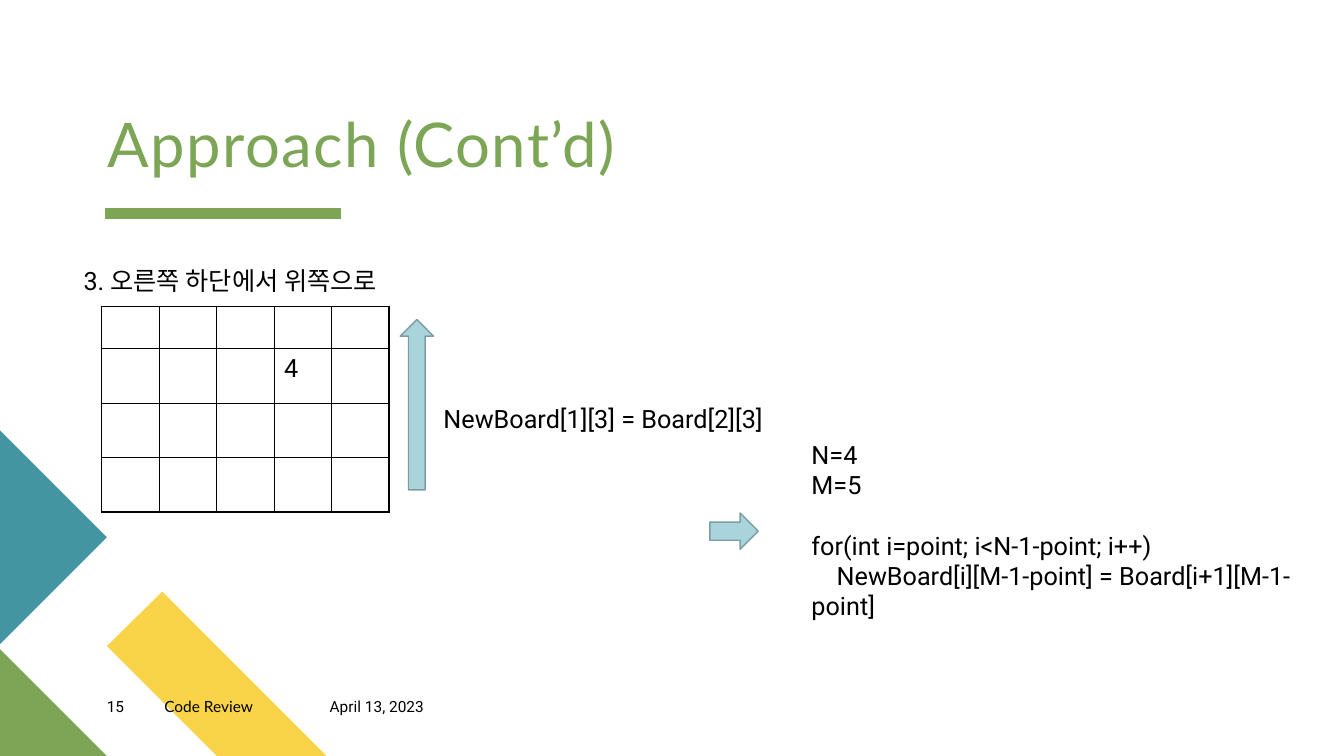
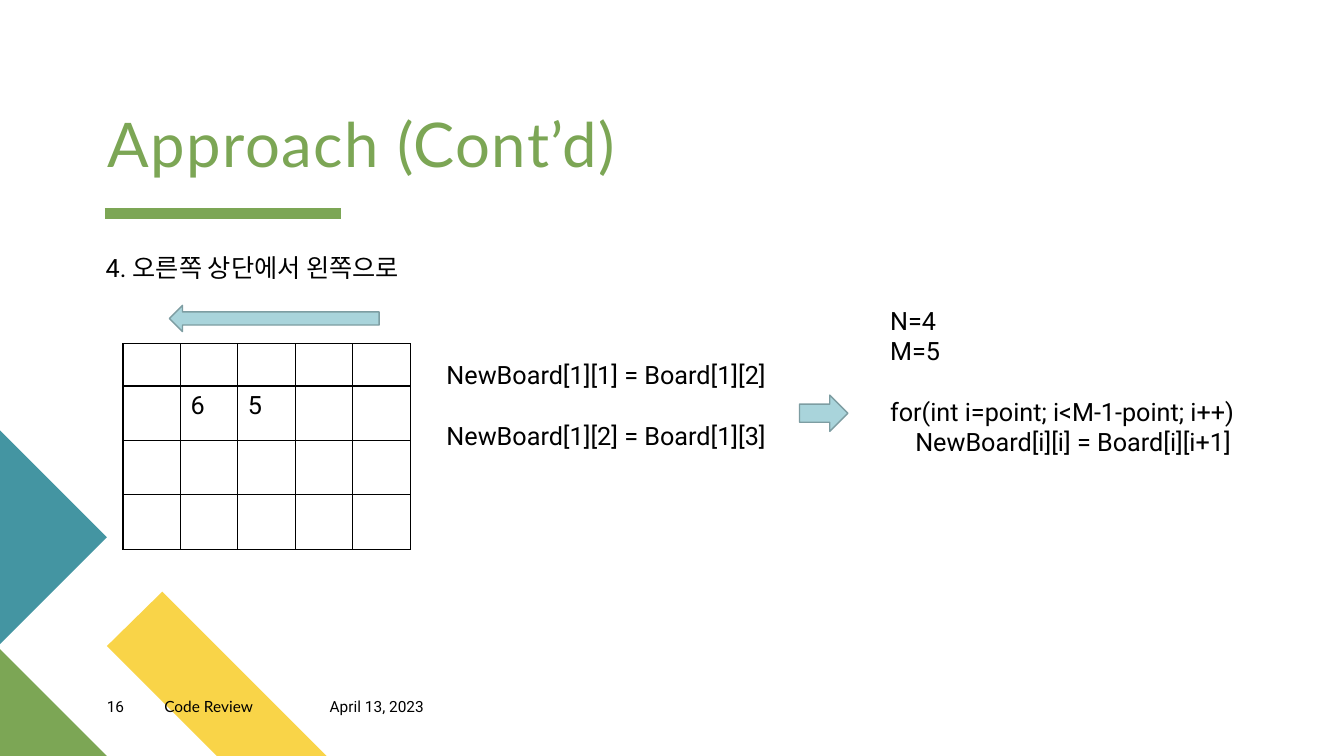
"""Build two code review slides about rotating the cells of a board."""
from dataclasses import dataclass

from lxml import etree
from pptx import Presentation
from pptx.dml.color import RGBColor
from pptx.enum.shapes import MSO_CONNECTOR, MSO_SHAPE
from pptx.enum.text import MSO_ANCHOR, MSO_AUTO_SIZE, PP_ALIGN
from pptx.oxml.ns import qn
from pptx.util import Pt

PX = 9144
STRAIGHT = MSO_CONNECTOR.STRAIGHT
UP, LEFT, RIGHT = MSO_SHAPE.UP_ARROW, MSO_SHAPE.LEFT_ARROW, MSO_SHAPE.RIGHT_ARROW
BOTTOM = MSO_ANCHOR.BOTTOM
NO_AUTOSIZE = MSO_AUTO_SIZE.NONE
ALIGN_LEFT = PP_ALIGN.LEFT


@dataclass(frozen=True)
class Theme:
    green: str = "7CA655"
    teal: str = "4495A2"
    yellow: str = "F9D448"
    arrow: str = "A9D4DB"
    arrow_edge: str = "7D9DA2"
    ink: str = "000000"
    heading_font: str = "Lato"
    body_font: str = "Roboto"
    title_size: int = 44
    body_size: int = 18
    footer_size: int = 11


THEME = Theme()
COLUMN_WIDTH = 57
ROW_HEIGHTS = [42, 54, 54, 54]
COLUMN_COUNT = 5
BLANK_LINE = 30
CODE_INDENT = 25

CORNER_SHAPES = [
    (THEME.yellow, [(324, 750), (215, 750), (106, 641), (161, 587)]),
    (THEME.green, [(106, 750), (0, 750), (0, 644)]),
    (THEME.teal, [(0, 427), (106, 533), (0, 639)]),
]
FOOTER_TEXTS = [
    ((163, 692, 164, 27), "Code Review", THEME.heading_font),
    ((327, 692, 144, 27), "April 13, 2023", THEME.body_font),
]
PAGES = [
    {
        "number": "15",
        "texts": [
            ((73, 258, 345, 40), [("3. 오른쪽 하단에서 위쪽으로", 0, 0)]),
            ((430, 395, 345, 40), [("NewBoard[1][3] = Board[2][3]", 0, 0)]),
            ((795, 431, 535, 192), [
                ("N=4", 0, 0),
                ("M=5", 0, 0),
                ("for(int i=point; i<N-1-point; i++)", BLANK_LINE, 0),
                ("NewBoard[i][M-1-point] = Board[i+1][M-1-point]", 0, CODE_INDENT),
            ]),
        ],
        "board": (101, 304),
        "values": {(1, 3): "4"},
        "arrows": [(UP, (397, 317, 33, 169)), (RIGHT, (704, 509, 48, 36))],
    },
    {
        "number": "16",
        "texts": [
            ((95, 245, 345, 40), [("4. 오른쪽 상단에서 왼쪽으로", 0, 0)]),
            ((433, 352, 345, 101), [
                ("NewBoard[1][1] = Board[1][2]", 0, 0),
                ("NewBoard[1][2] = Board[1][3]", BLANK_LINE, 0),
            ]),
            ((873, 298, 380, 162), [
                ("N=4", 0, 0),
                ("M=5", 0, 0),
                ("for(int i=point; i<M-1-point; i++)", BLANK_LINE, 0),
                ("NewBoard[i][i] = Board[i][i+1]", 0, CODE_INDENT),
            ]),
        ],
        "board": (122, 341),
        "values": {(1, 1): "6", (1, 2): "5"},
        "arrows": [(LEFT, (168, 303, 208, 26)), (RIGHT, (793, 392, 48, 36))],
    },
]


def add_span(para, text, font, size, color):
    span = para.add_run()
    span.text = text
    span.font.name = font
    span.font.size = Pt(size)
    span.font.color.rgb = RGBColor.from_string(color)
    return span


def add_text(page, place, lines, font, size, inset=True):
    box = page.shapes.add_textbox(*[length * PX for length in place])
    frame = box.text_frame
    frame.word_wrap = True
    if not inset:
        frame.margin_left = frame.margin_top = 0
        frame.margin_right = frame.margin_bottom = 0
    for index, (text, before, indent) in enumerate(lines):
        para = frame.add_paragraph() if index else frame.paragraphs[0]
        para.alignment = ALIGN_LEFT
        if before:
            para.space_before = before * PX
        if indent:
            para._p.get_or_add_pPr().set("indent", str(indent * PX))
        add_span(para, text, font, size, THEME.ink)


deck = Presentation()
deck.slide_width, deck.slide_height = 1333 * PX, 750 * PX
title_only = deck.slide_layouts[5]

for content in PAGES:
    page = deck.slides.add_slide(title_only)

    for color, points in CORNER_SHAPES:
        builder = page.shapes.build_freeform(*points[0], scale=PX)
        builder.add_line_segments(points[1:], close=True)
        corner = builder.convert_to_shape()
        corner.shadow.inherit = False
        corner.fill.solid()
        corner.fill.fore_color.rgb = RGBColor.from_string(color)
        corner.line.fill.background()

    rule = page.shapes.add_connector(STRAIGHT, 104 * PX, 212 * PX, 338 * PX, 212 * PX)
    rule.line.color.rgb = RGBColor.from_string(THEME.green)
    rule.line.width = Pt(8)
    etree.SubElement(rule._element.spPr, qn("a:effectLst"))

    title = page.shapes.title
    title.left, title.top, title.width, title.height = 107 * PX, 112 * PX, 540 * PX, 67 * PX
    frame = title.text_frame
    frame.margin_left = frame.margin_top = frame.margin_right = frame.margin_bottom = 0
    frame.vertical_anchor = BOTTOM
    frame.auto_size = NO_AUTOSIZE
    para = frame.paragraphs[0]
    para.alignment = ALIGN_LEFT
    para.line_spacing = 0.9
    span = add_span(para, "Approach (Cont’d)", THEME.heading_font, THEME.title_size, THEME.green)
    span.font._element.set("spc", "100")

    page_number = ((106, 692, 57, 27), content["number"], THEME.body_font)
    for place, text, font in [page_number, *FOOTER_TEXTS]:
        add_text(page, place, [(text, 0, 0)], font, THEME.footer_size, inset=False)

    for place, lines in content["texts"]:
        add_text(page, place, lines, THEME.body_font, THEME.body_size)

    left, top = content["board"]
    board = page.shapes.add_table(
        len(ROW_HEIGHTS), COLUMN_COUNT, left * PX, top * PX,
        COLUMN_COUNT * COLUMN_WIDTH * PX, sum(ROW_HEIGHTS) * PX,
    ).table
    board.first_row = board.horz_banding = False
    for column in board.columns:
        column.width = COLUMN_WIDTH * PX
    for row_index, height in enumerate(ROW_HEIGHTS):
        board.rows[row_index].height = height * PX
        for column_index in range(COLUMN_COUNT):
            cell = board.cell(row_index, column_index)
            properties = cell._tc.get_or_add_tcPr()
            for side in ("a:lnL", "a:lnR", "a:lnT", "a:lnB"):
                border = etree.SubElement(properties, qn(side), w=str(Pt(1)))
                paint = etree.SubElement(border, qn("a:solidFill"))
                etree.SubElement(paint, qn("a:srgbClr"), val=THEME.ink)
            cell.fill.background()
            value = content["values"].get((row_index, column_index))
            if value:
                add_span(cell.text_frame.paragraphs[0], value,
                         THEME.body_font, THEME.body_size, THEME.ink)

    for kind, place in content["arrows"]:
        arrow = page.shapes.add_shape(kind, *[length * PX for length in place])
        arrow.shadow.inherit = False
        arrow.fill.solid()
        arrow.fill.fore_color.rgb = RGBColor.from_string(THEME.arrow)
        arrow.line.color.rgb = RGBColor.from_string(THEME.arrow_edge)
        arrow.line.width = Pt(1)

deck.save("out.pptx")
